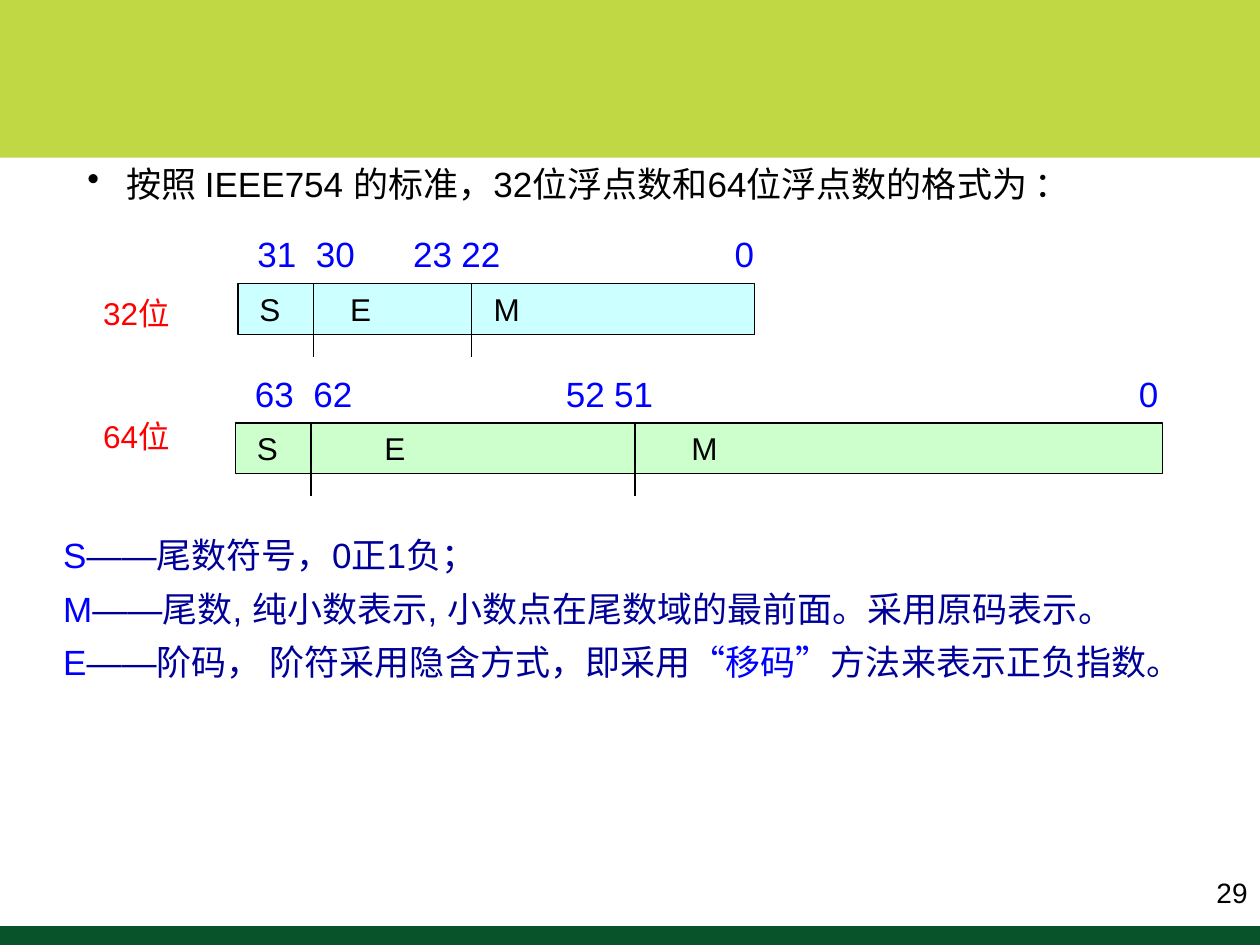
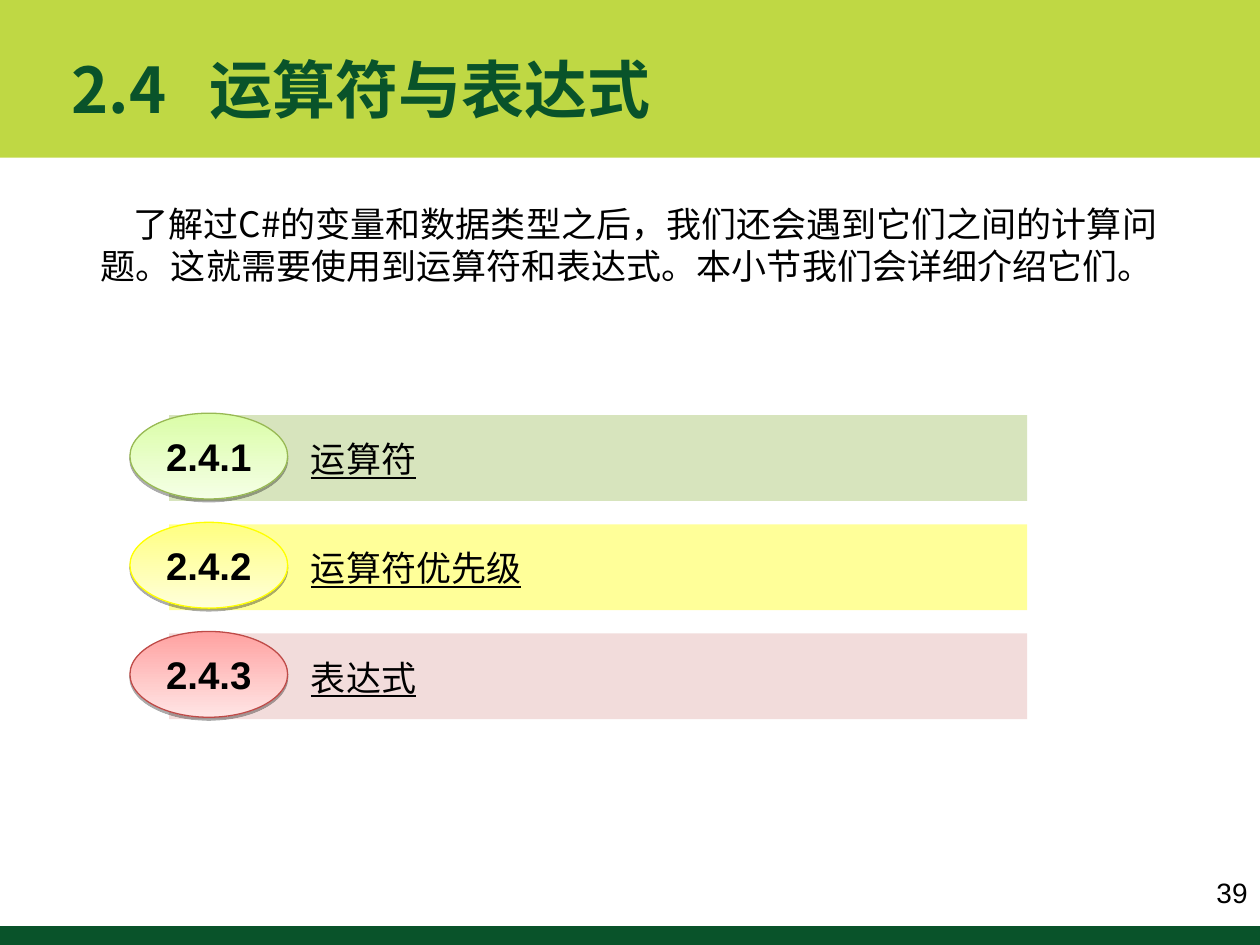
from lxml import etree
from pptx import Presentation
from pptx.dml.color import RGBColor
from pptx.enum.shapes import MSO_CONNECTOR, MSO_SHAPE
from pptx.enum.text import MSO_ANCHOR, MSO_AUTO_SIZE, PP_ALIGN
from pptx.oxml.ns import qn
from pptx.util import Cm, Pt

RECTANGLE, OVAL = MSO_SHAPE.RECTANGLE, MSO_SHAPE.OVAL
STRAIGHT = MSO_CONNECTOR.STRAIGHT
LEFT, CENTER, RIGHT = PP_ALIGN.LEFT, PP_ALIGN.CENTER, PP_ALIGN.RIGHT
TOP, MIDDLE = MSO_ANCHOR.TOP, MSO_ANCHOR.MIDDLE
NO_AUTOFIT = MSO_AUTO_SIZE.NONE

LATIN, CHINESE = "Arial", "Noto Sans CJK SC"
BLACK, RED, BLUE, NAVY = "000000", "FF0000", "0000FF", "000099"
LIME, GREEN = "BFD844", "09532A"
PAGE_WIDTH, PAGE_HEIGHT = 25.4, 19.05
BAND_HEIGHT, FOOTER_HEIGHT = 3.18, 0.38


def color(hex_text):
    return RGBColor.from_string(hex_text)


def write(para, text, size=20, ink=BLACK, font=LATIN, bold=False, underline=False):
    span = para.add_run()
    span.text = text
    span.font.size = Pt(size)
    span.font.name = font
    span.font.bold = bold
    span.font.underline = underline
    span.font.color.rgb = color(ink)
    etree.SubElement(span.font._element, qn("a:ea"), typeface=CHINESE)


def set_margin(para, left=0, first=0, bullet=None):
    props = para._p.get_or_add_pPr()
    props.set("marL", str(Cm(left)))
    props.set("indent", str(Cm(first)))
    if bullet:
        etree.SubElement(props, qn("a:buChar"), char=bullet)
    else:
        etree.SubElement(props, qn("a:buNone"))


def set_tabs(para, stops):
    tab_list = etree.SubElement(para._p.get_or_add_pPr(), qn("a:tabLst"))
    for stop in stops:
        etree.SubElement(tab_list, qn("a:tab"), pos=str(Cm(stop)), algn="l")


def place(shape, left, top, width, height):
    shape.left, shape.top = Cm(left), Cm(top)
    shape.width, shape.height = Cm(width), Cm(height)


def prepare(shape, align=LEFT, anchor=TOP):
    frame = shape.text_frame
    frame.word_wrap = True
    frame.auto_size = NO_AUTOFIT
    frame.vertical_anchor = anchor
    para = frame.paragraphs[0]
    para.alignment = align
    para.space_before = Pt(0)
    return para


def add_text(shapes, left, top, width, height, align=LEFT):
    box = shapes.add_textbox(Cm(left), Cm(top), Cm(width), Cm(height))
    return prepare(box, align)


def add_block(shapes, kind, left, top, width, height, fill=None, line=None):
    block = shapes.add_shape(kind, Cm(left), Cm(top), Cm(width), Cm(height))
    block.shadow.inherit = False
    if fill:
        block.fill.solid()
        block.fill.fore_color.rgb = color(fill)
    if line:
        block.line.color.rgb = color(line)
        block.line.width = Pt(0.75)
    else:
        block.line.fill.background()
    return block


def add_divider(shapes, left, top, length):
    divider = shapes.add_connector(STRAIGHT, Cm(left), Cm(top), Cm(left), Cm(top + length))
    divider.line.color.rgb = color(BLACK)
    divider.line.width = Pt(0.75)
    etree.SubElement(divider._element.spPr, qn("a:effectLst"))


def add_page(deck, number):
    page = deck.slides.add_slide(deck.slide_layouts[1])
    bands = [(0, BAND_HEIGHT, LIME), (PAGE_HEIGHT - FOOTER_HEIGHT, FOOTER_HEIGHT, GREEN)]
    for top, height, fill in bands:
        band = add_block(page.shapes, RECTANGLE, 0, top, PAGE_WIDTH, height, fill)
        page.shapes.element.insert(2, band._element)
    para = add_text(page.shapes, 23.5, 17.53, 1.9, 0.94, RIGHT)
    write(para, str(number), size=16)
    return page


def add_float_format(page, left, top, width, fill, name, name_shift, fields, bits):
    shapes = page.shapes.add_group_shape().shapes
    dividers, field_stops = fields
    bit_names, bit_stops = bits

    bar = add_block(shapes, RECTANGLE, left, top, width, 1.02, fill, BLACK)
    bar.text_frame.margin_left = Cm(0.43)
    para = prepare(bar)
    set_tabs(para, field_stops)
    write(para, "S\tE\tM", size=18)
    for offset in dividers:
        add_divider(shapes, left + offset, top, 1.47)

    para = add_text(shapes, left + 0.14, top - 1.15, width + 0.7, 1.12)
    set_tabs(para, bit_stops)
    write(para, "\t".join(bit_names), ink=BLUE)
    write(add_text(shapes, 1.83, top + name_shift, 2.01, 1.02), name, size=18, ink=RED)


def add_definitions(body, left, top, width, height):
    place(body, left, top, width, height)
    definitions = [
        [("S", BLUE), ("——尾数符号，0正1负；", NAVY)],
        [("M", BLUE), ("——尾数, 纯小数表示, 小数点在尾数域的最前面。采用原码表示。", NAVY)],
        [("E", BLUE), ("——阶码， 阶符采用隐含方式，即采用", NAVY), ("“移码”", BLUE),
         ("方法来表示正负指数。", NAVY)],
    ]
    para = prepare(body)
    for index, spans in enumerate(definitions):
        if index:
            para = body.text_frame.add_paragraph()
            para.line_spacing = 0.75
            para.space_before = Pt(12.5)
        set_margin(para)
        for text, ink in spans:
            write(para, text, ink=ink)


def build_float_page(deck):
    page = add_page(deck, 29)
    title = page.shapes.title._element
    title.getparent().remove(title)
    add_definitions(page.placeholders[1], 1.02, 10.62, 23.93, 3.25)

    para = add_text(page.shapes, 0.64, 3.15, 23.77, 1.12)
    set_margin(para, 1.67, -0.8, "•")
    write(para, "按照 IEEE754 的标准，32位浮点数和64位浮点数的格式为 ：")

    add_float_format(page, 4.8, 5.72, 10.41, "CCFFFF", "32位", 0.08,
                     ([1.52, 4.7], [1.83, 4.72]),
                     (["31", "30", "23", "22", "0"], [1.18, 3.14, 4.11, 9.62]))
    add_float_format(page, 4.75, 8.53, 18.69, "CCFFCC", "64位", -0.25,
                     ([1.52, 8.05], [2.57, 8.76]),
                     (["63", "62", "52", "51", "0"], [1.18, 6.27, 7.24, 17.82]))


def add_badge(shapes, left, top, text, gradient, line):
    badge = add_block(shapes, OVAL, left, top, 3.18, 1.73, line=line)
    badge.fill.gradient()
    badge.fill.gradient_angle = 270
    for stop, shade in zip(badge.fill.gradient_stops, gradient):
        stop.color.rgb = color(shade)
    effects = badge._element.spPr.find(qn("a:effectLst"))
    shadow = etree.SubElement(effects, qn("a:outerShdw"), blurRad="0", dist=str(Pt(1.6)),
                              dir="5400000", rotWithShape="0")
    shade = etree.SubElement(shadow, qn("a:srgbClr"), val=BLACK)
    etree.SubElement(shade, qn("a:alpha"), val="33000")
    write(prepare(badge, CENTER, MIDDLE), text, size=22, bold=True)


def add_section(page, left, top, number, name, fill, gradient, line):
    shapes = page.shapes.add_group_shape().shapes
    add_block(shapes, RECTANGLE, left + 0.79, top + 0.04, 17.3, 1.73, fill)
    add_badge(shapes, left, top, number, gradient, line)
    para = add_text(page.shapes, left + 3.4, top + 0.37, 8.74, 1.12)
    write(para, name, font=CHINESE, underline=True)


def build_operator_page(deck):
    page = add_page(deck, 39)
    title, body = page.shapes.title, page.placeholders[1]
    place(title, 1.19, 0.58, 17.27, 2.41)
    para = prepare(title, LEFT, MIDDLE)
    set_tabs(para, [2.78])
    write(para, "2.4\t运算符与表达式", size=36, ink=GREEN, font=CHINESE, bold=True)

    place(body, 1.78, 3.96, 22.43, 1.96)
    para = prepare(body)
    set_margin(para, first=0.66)
    write(para, "了解过C#的变量和数据类型之后，我们还会遇到它们之间的计算问题。"
                "这就需要使用到运算符和表达式。本小节我们会详细介绍它们。", font=CHINESE)

    sections = [
        ("运算符", "D7E4BD", ("DAFDA7", "F5FFE6"), "98B954"),
        ("运算符优先级", "FFFF99", ("FFFF80", "FFFFDA"), "FFFF00"),
        ("表达式", "F2DCDB", ("FFA2A1", "FFE5E5"), "BE4B48"),
    ]
    for index, section in enumerate(sections):
        add_section(page, 2.62, 8.33 + 2.2 * index, f"2.4.{index + 1}", *section)


def main():
    deck = Presentation()
    deck.slide_width, deck.slide_height = Cm(PAGE_WIDTH), Cm(PAGE_HEIGHT)
    build_float_page(deck)
    build_operator_page(deck)
    deck.save("out.pptx")


if __name__ == "__main__":
    main()
